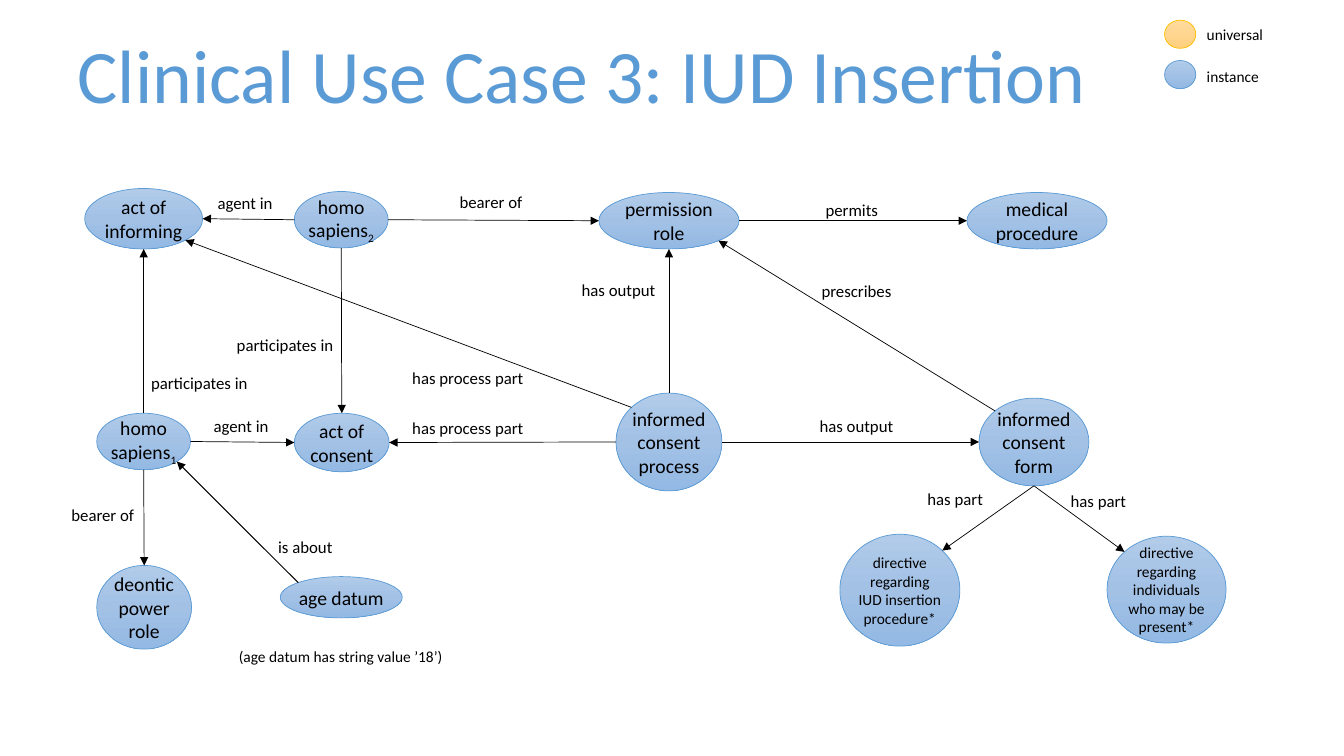
from collections import namedtuple
from copy import deepcopy
from dataclasses import dataclass
from math import cos, radians, sin

from lxml.etree import SubElement
from pptx import Presentation
from pptx.dml.color import RGBColor
from pptx.enum.shapes import MSO_CONNECTOR, MSO_SHAPE
from pptx.enum.text import MSO_ANCHOR, MSO_AUTO_SIZE, PP_ALIGN
from pptx.oxml.ns import qn
from pptx.util import Inches, Pt

Box = namedtuple("Box", "x y w h")


@dataclass(frozen=True)
class Theme:
    """Colours, font and type sizes of the slide."""
    font: str = "Calibri"
    ink: str = "000000"
    accent: str = "5B9BD5"
    instance: tuple = ("5B9BD5", "B1CBE9", "A3C1E5", "93B9E4")
    universal: tuple = ("FFC000", "FFDB9E", "FFD590", "FFD07C")
    title: float = 54
    node: float = 14
    label: float = 12
    small: float = 11
    line: float = 0.5


THEME = Theme()

# Connection sites of an ellipse, counted counter-clockwise from the top
TOP, TOP_LEFT, LEFT, _, BOTTOM, BOTTOM_RIGHT, RIGHT, TOP_RIGHT = range(8)

# name: (text, subscript, size, left, top, width, height)
NODES = {
    "informing": ("act of informing", "", THEME.node, 0.24, 0.07, 1.17, 0.6),
    "sapiens2": ("homo sapiens", "2", THEME.node, 2.32, 0.1, 0.93, 0.56),
    "permission": ("permission role", "", THEME.node, 5.34, 0.11, 1.39, 0.56),
    "medical": ("medical procedure", "", THEME.node, 8.99, 0.11, 1.39, 0.56),
    "sapiens1": ("homo sapiens", "1", THEME.node, 0.36, 2.3, 0.93, 0.56),
    "consent": ("act of consent", "", THEME.node, 2.32, 2.3, 0.94, 0.58),
    "process": ("informed consent process", "", THEME.node, 5.51, 2.1, 1.05, 0.97),
    "form": ("informed consent form", "", THEME.node, 9.11, 2.15, 1.09, 0.87),
    "deontic": ("deontic\vpower role", "", THEME.node, 0.36, 3.81, 0.94, 0.83),
    "age": ("age datum", "", THEME.node, 2.18, 3.92, 1.21, 0.41),
    "insertion": ("directive regarding IUD insertion procedure*", "", THEME.small,
                  7.73, 3.5, 1.19, 1.11),
    "present": ("directive regarding individuals who may be present*", "", THEME.small,
                10.38, 3.52, 1.18, 1.06),
}

# (from, site, to, site, label, label left, label top)
RELATIONS = [
    ("sapiens2", LEFT, "informing", RIGHT, "agent in", 1.46, 0.06),
    ("sapiens2", RIGHT, "permission", LEFT, "bearer of", 3.86, 0.05),
    ("permission", RIGHT, "medical", LEFT, "permits", 7.49, 0.13),
    ("sapiens1", TOP, "informing", BOTTOM, "participates in", 0.8, 1.85),
    ("sapiens2", BOTTOM, "consent", TOP, "participates in", 1.65, 1.47),
    ("process", TOP_LEFT, "informing", BOTTOM_RIGHT, "has process part", 3.39, 1.8),
    ("process", TOP, "permission", BOTTOM, "has output", 5.07, 0.93),
    ("form", TOP_LEFT, "permission", BOTTOM_RIGHT, "prescribes", 7.45, 0.94),
    ("sapiens1", RIGHT, "consent", LEFT, "agent in", 1.42, 2.28),
    ("process", LEFT, "consent", RIGHT, "has process part", 3.39, 2.3),
    ("process", RIGHT, "form", LEFT, "has output", 7.43, 2.28),
    ("sapiens1", BOTTOM, "deontic", TOP, "bearer of", 0.01, 3.16),
    ("age", TOP_LEFT, "sapiens1", BOTTOM_RIGHT, "is about", 2.06, 3.48),
    ("form", BOTTOM, "insertion", TOP_RIGHT, "has part", 8.5, 3.0),
    ("form", BOTTOM, "present", TOP_LEFT, "has part", 9.92, 3.02),
]
LABEL_WIDTHS = {
    "agent in": 0.75, "bearer of": 0.83, "permits": 0.73, "participates in": 1.17,
    "has process part": 1.32, "has output": 0.94, "prescribes": 0.9,
    "is about": 0.75, "has part": 0.76,
}


def apply(target, values):
    """Set each attribute in the dict of format values."""
    for name, value in values.items():
        setattr(target, name, value)


def style_runs(p, size, color=THEME.ink):
    """Give every run of a paragraph the slide's font."""
    for r in p.runs:
        apply(r.font, {"name": THEME.font, "size": Pt(size)})
        r.font.color.rgb = RGBColor.from_string(color)


def add_ellipse(slide, box, palette):
    """Add an ellipse with a vertical three-stop gradient."""
    sp = slide.shapes.add_shape(MSO_SHAPE.OVAL, *map(Inches, box))
    sp.shadow.inherit = False
    line, *stops = map(RGBColor.from_string, palette)
    sp.fill.gradient()
    stop_list = sp._element.spPr.find(qn("a:gradFill")).find(qn("a:gsLst"))
    stop_list.insert(1, deepcopy(stop_list[0]))
    for stop, color, position in zip(sp.fill.gradient_stops, stops, (0, 0.5, 1)):
        stop.color.rgb = color
        stop.position = position
    sp.fill.gradient_angle = 270
    sp.line.color.rgb = line
    sp.line.width = Pt(THEME.line)
    return sp


def add_node(slide, box, text, subscript, size):
    """Add an instance ellipse with its centred name."""
    sp = add_ellipse(slide, box, THEME.instance)
    tf = sp.text_frame
    apply(tf, {"word_wrap": True, "vertical_anchor": MSO_ANCHOR.MIDDLE,
               "margin_left": 0, "margin_right": 0, "margin_top": 0, "margin_bottom": 0})
    p = tf.paragraphs[0]
    p.text = text
    p.alignment = PP_ALIGN.CENTER
    if subscript:
        r = p.add_run()
        r.text = subscript
        r.font._element.set("baseline", "-25000")
    style_runs(p, size)
    return sp


def add_label(slide, x, y, w, text, size=THEME.label):
    """Add a one-line label."""
    h = 0.3 if size == THEME.label else 0.29
    tf = slide.shapes.add_textbox(*map(Inches, (x, y, w, h))).text_frame
    apply(tf, {"text": text, "word_wrap": False,
               "auto_size": MSO_AUTO_SIZE.SHAPE_TO_FIT_TEXT})
    style_runs(tf.paragraphs[0], size)


def site_point(sp, site):
    """Return the point of an ellipse's connection site."""
    angle = radians(90 + 45 * site)
    return (int(sp.left + sp.width / 2 * (1 + cos(angle))),
            int(sp.top + sp.height / 2 * (1 - sin(angle))))


def add_arrow(slide, start, start_site, end, end_site, width):
    """Join two ellipses with an arrow glued to their sites."""
    cxn = slide.shapes.add_connector(
        MSO_CONNECTOR.STRAIGHT, *site_point(start, start_site), *site_point(end, end_site))
    cxn.line.color.rgb = RGBColor.from_string(THEME.ink)
    cxn.line.width = Pt(width)
    props = cxn._element.spPr
    SubElement(props.find(qn("a:ln")), qn("a:tailEnd"), type="triangle")
    SubElement(props, qn("a:effectLst"))
    glue = cxn._element.find(".//" + qn("p:cNvCxnSpPr"))
    for tag, sp, site in (("a:stCxn", start, start_site), ("a:endCxn", end, end_site)):
        SubElement(glue, qn(tag), id=str(sp.shape_id), idx=str(site))


def add_title(slide, box, text):
    """Fill the title placeholder."""
    sp = slide.shapes.title
    apply(sp, dict(zip(("left", "top", "width", "height"), map(Inches, box))))
    tf = sp.text_frame
    apply(tf, {"text": text, "word_wrap": True, "vertical_anchor": MSO_ANCHOR.TOP,
               "auto_size": MSO_AUTO_SIZE.NONE})
    p = tf.paragraphs[0]
    p.alignment = PP_ALIGN.LEFT
    style_runs(p, THEME.title, THEME.accent)


def add_legend(slide, box):
    """Add the key to the two ellipse colours."""
    rows = (("universal", THEME.universal, 0, 0.77), ("instance", THEME.instance, 0.02, 0.72))
    for i, (text, palette, drop, width) in enumerate(rows):
        y = box.y + 0.4 * i
        add_ellipse(slide, (box.x, y, 0.31, 0.28), palette)
        add_label(slide, box.x + 0.32, y + drop, width, text, THEME.small)


def add_diagram(slide, box):
    """Add the instances, their relations and the note on age."""
    nodes = {name: add_node(slide, (box.x + x, box.y + y, w, h), text, subscript, size)
             for name, (text, subscript, size, x, y, w, h) in NODES.items()}
    for start, start_site, end, end_site, text, x, y in RELATIONS:
        width = 0.75 if text == "is about" else THEME.line
        add_arrow(slide, nodes[start], start_site, nodes[end], end_site, width)
        add_label(slide, box.x + x, box.y + y, LABEL_WIDTHS[text], text)
    add_label(slide, box.x + 1.67, box.y + 4.57, 2.24,
              "(age datum has string value ’18’)", THEME.small)


prs = Presentation()
prs.slide_width, prs.slide_height = Inches(13.33), Inches(7.5)
slide = prs.slides.add_slide(prs.slide_layouts[5])
add_title(slide, Box(0.67, 0.23, 10.46, 1.01), "Clinical Use Case 3: IUD Insertion")
add_legend(slide, Box(11.55, 0.2, 1.09, 0.71))
add_diagram(slide, Box(0.6, 1.8, 11.56, 4.86))
prs.save("out.pptx")
